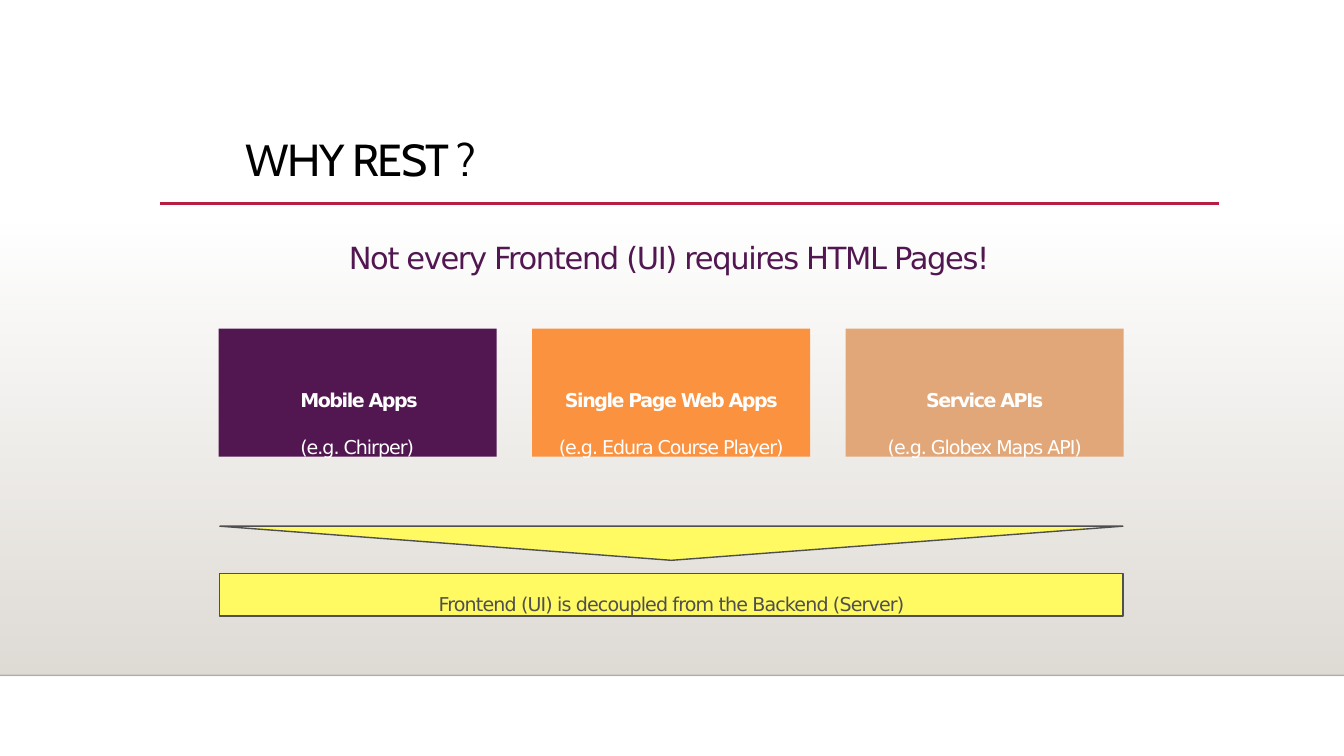
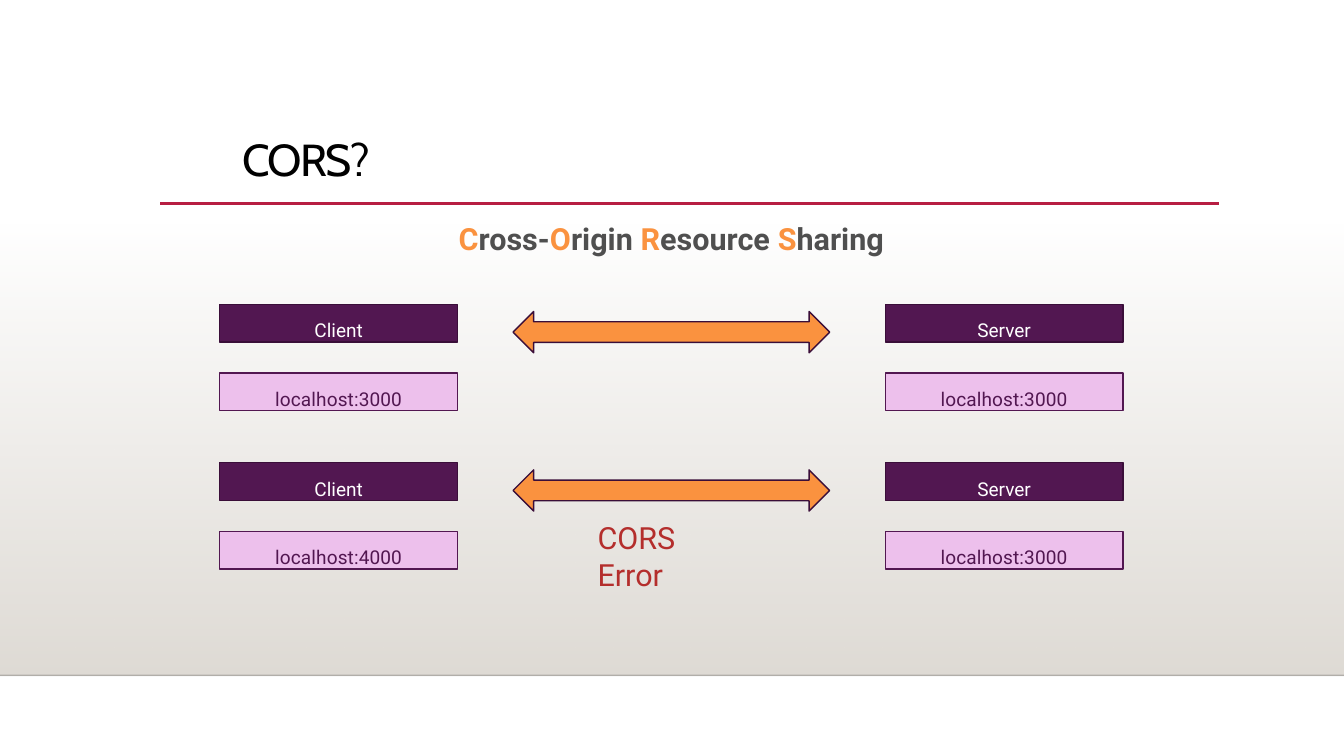
from lxml.etree import SubElement
from pptx import Presentation
from pptx.dml.color import RGBColor
from pptx.enum.shapes import MSO_CONNECTOR, MSO_SHAPE
from pptx.enum.text import MSO_ANCHOR, PP_ALIGN
from pptx.oxml.ns import qn
from pptx.util import Cm, Pt

WIDTH, HEIGHT = 33.87, 19.05
PLUM, DARK_PLUM, LILAC = "521751", "3A0E39", "EDC0EC"
ORANGE, TAN, YELLOW = "FA923F", "E2A778", "FFF962"
CRIMSON, ERROR_RED = "B71E42", "B42E2C"
GREY, SAND, WHITE, BLACK = "4F4F4F", "DFDBD5", "FFFFFF", "000000"
LEFT, SPAN = 5.54, 22.76


def rgb(value):
    return RGBColor.from_string(value)


def set_alpha(element, percent):
    color = element.find(".//" + qn("a:srgbClr"))
    SubElement(color, qn("a:alpha")).set("val", str(percent * 1000))


class Deck:
    body_size = 13.6
    heading_size = 21.8

    def __init__(self):
        self.presentation = Presentation()
        self.presentation.slide_width = Cm(WIDTH)
        self.presentation.slide_height = Cm(HEIGHT)
        self.slide = None

    def new_slide(self, title, left, spacing):
        layout = self.presentation.slide_layouts[6]
        self.slide = self.presentation.slides.add_slide(layout)
        self.backdrop()
        self.text(title, left, 3.28, 13.18, 1.4, "Cabin", 32, BLACK,
                  spacing=spacing, anchor=MSO_ANCHOR.MIDDLE)

    def backdrop(self):
        floor = self.shape(MSO_SHAPE.RECTANGLE, 0, 5.61, WIDTH, 11.41, SAND)
        floor.fill.gradient()
        floor.fill.gradient_angle = 270
        for stop in floor.fill.gradient_stops:
            stop.color.rgb = rgb(SAND)
        set_alpha(floor._element, 0)
        floor_edge = self.rule(0, WIDTH, 17.02, BLACK, 1)
        set_alpha(floor_edge._element, 20)
        self.rule(4.04, 30.73, 5.13, CRIMSON, 2.5)

    def rule(self, start, end, top, color, weight):
        line = self.slide.shapes.add_connector(
            MSO_CONNECTOR.STRAIGHT, Cm(start), Cm(top), Cm(end), Cm(top))
        line.line.color.rgb = rgb(color)
        line.line.width = Pt(weight)
        SubElement(line._element.spPr, qn("a:effectLst"))
        return line

    def shape(self, kind, left, top, width, height, fill, outline=None):
        shape = self.slide.shapes.add_shape(
            kind, Cm(left), Cm(top), Cm(width), Cm(height))
        shape.shadow.inherit = False
        shape.fill.solid()
        shape.fill.fore_color.rgb = rgb(fill)
        if outline:
            shape.line.color.rgb = rgb(outline)
            shape.line.width = Pt(1)
        else:
            shape.line.fill.background()
        return shape

    def frame(self, shape, anchor=MSO_ANCHOR.TOP, inset_top=0.03, inset_left=0):
        frame = shape.text_frame
        frame.word_wrap = True
        frame.vertical_anchor = anchor
        frame.margin_left, frame.margin_top = Cm(inset_left), Cm(inset_top)
        frame.margin_right = frame.margin_bottom = 0
        return frame

    def set_words(self, paragraph, runs, font, size, color, bold=False,
                  spacing=0, align=PP_ALIGN.LEFT):
        paragraph.alignment = align
        paragraph.font.name = font
        paragraph.font.size = Pt(size)
        paragraph.font.bold = bold
        paragraph.font.color.rgb = rgb(color)
        if isinstance(runs, str):
            runs = [(runs, color)]
        for words, run_color in runs:
            run = paragraph.add_run()
            run.text = words
            if run_color != color:
                run.font.color.rgb = rgb(run_color)
            if spacing:
                run.font._element.set("spc", str(round(spacing * 100)))

    def text(self, runs, left, top, width, height, font, size, color,
             bold=False, spacing=0, anchor=MSO_ANCHOR.TOP):
        box = self.slide.shapes.add_textbox(
            Cm(left), Cm(top), Cm(width), Cm(height))
        frame = self.frame(box, anchor)
        self.set_words(frame.paragraphs[0], runs, font, size, color, bold,
                       spacing)

    def heading(self, runs, left, top, width, font, color, bold=False, spacing=0):
        self.text(runs, left, top, width, 0.97, font, self.heading_size,
                  color, bold, spacing)

    def card(self, name, example, left, fill, align, inset_left):
        card = self.shape(MSO_SHAPE.RECTANGLE, left, 8.28, 7.01, 3.23, fill)
        frame = self.frame(card, inset_top=1.5, inset_left=inset_left)
        self.set_words(frame.paragraphs[0], name, "DejaVu Sans",
                       self.body_size, WHITE, True, -1, align)
        detail = frame.add_paragraph()
        detail.space_before = Pt(17.7)
        self.set_words(detail, example, "DejaVu Sans", self.body_size,
                       WHITE, False, -0.7, align)

    def label(self, words, left, top, width, height, fill, outline, color,
              font="Roboto", inset_top=0.36, spacing=0):
        box = self.shape(MSO_SHAPE.RECTANGLE, left, top, width, height,
                         fill, outline)
        frame = self.frame(box, inset_top=inset_top)
        self.set_words(frame.paragraphs[0], words, font, self.body_size, color,
                       spacing=spacing, align=PP_ALIGN.CENTER)

    def host(self, role, address, left, top):
        self.label(role, left, top, 5.99, 0.95, PLUM, DARK_PLUM, WHITE)
        self.label(address, left, top + 1.73, 5.99, 0.95, LILAC, PLUM, PLUM,
                   spacing=0.1)

    def exchange(self, client_address, server_address, top):
        self.host("Client", client_address, LEFT, top)
        self.host("Server", server_address, LEFT + SPAN - 5.99, top)
        self.shape(MSO_SHAPE.LEFT_RIGHT_ARROW, 12.93, top + 0.18, 7.98, 1.04,
                   ORANGE, DARK_PLUM)


deck = Deck()

deck.new_slide("WHY REST ?", 6.2, -1.1)
deck.heading("Not every Frontend (UI) requires HTML Pages!", 8.79, 5.99, 18,
             "DejaVu Sans", PLUM, spacing=-1)
frontends = [
    ("Mobile Apps", "(e.g. Chirper)", PLUM, PP_ALIGN.LEFT, 2.06),
    ("Single Page Web Apps", "(e.g. Edura Course Player)", ORANGE,
     PP_ALIGN.CENTER, 0),
    ("Service APIs", "(e.g. Globex Maps API)", TAN, PP_ALIGN.CENTER, 0),
]
for column, (name, example, fill, align, inset_left) in enumerate(frontends):
    deck.card(name, example, 5.51 + 7.9 * column, fill, align, inset_left)
deck.shape(MSO_SHAPE.FLOWCHART_MERGE, LEFT, 13.26, SPAN, 0.86, YELLOW, GREY)
deck.label("Frontend (UI) is decoupled from the Backend (Server)",
           LEFT, 14.45, SPAN, 1.07, YELLOW, GREY, GREY,
           font="DejaVu Sans", inset_top=0.48, spacing=-0.6)

deck.new_slide("CORS?", 6.12, -1.3)
acronym = [("C", ORANGE), ("ross-", GREY), ("O", ORANGE), ("rigin ", GREY),
           ("R", ORANGE), ("esource ", GREY), ("S", ORANGE), ("haring", GREY)]
deck.heading(acronym, 11.56, 5.51, 12, "Roboto", GREY, bold=True)
addresses = [("localhost:3000", "localhost:3000"),
             ("localhost:4000", "localhost:3000")]
for row, (client_address, server_address) in enumerate(addresses):
    deck.exchange(client_address, server_address, 7.67 + 3.99 * row)
deck.heading("CORS Error", 15.06, 13.06, 3.4, "Roboto", ERROR_RED)

deck.presentation.save("out.pptx")
